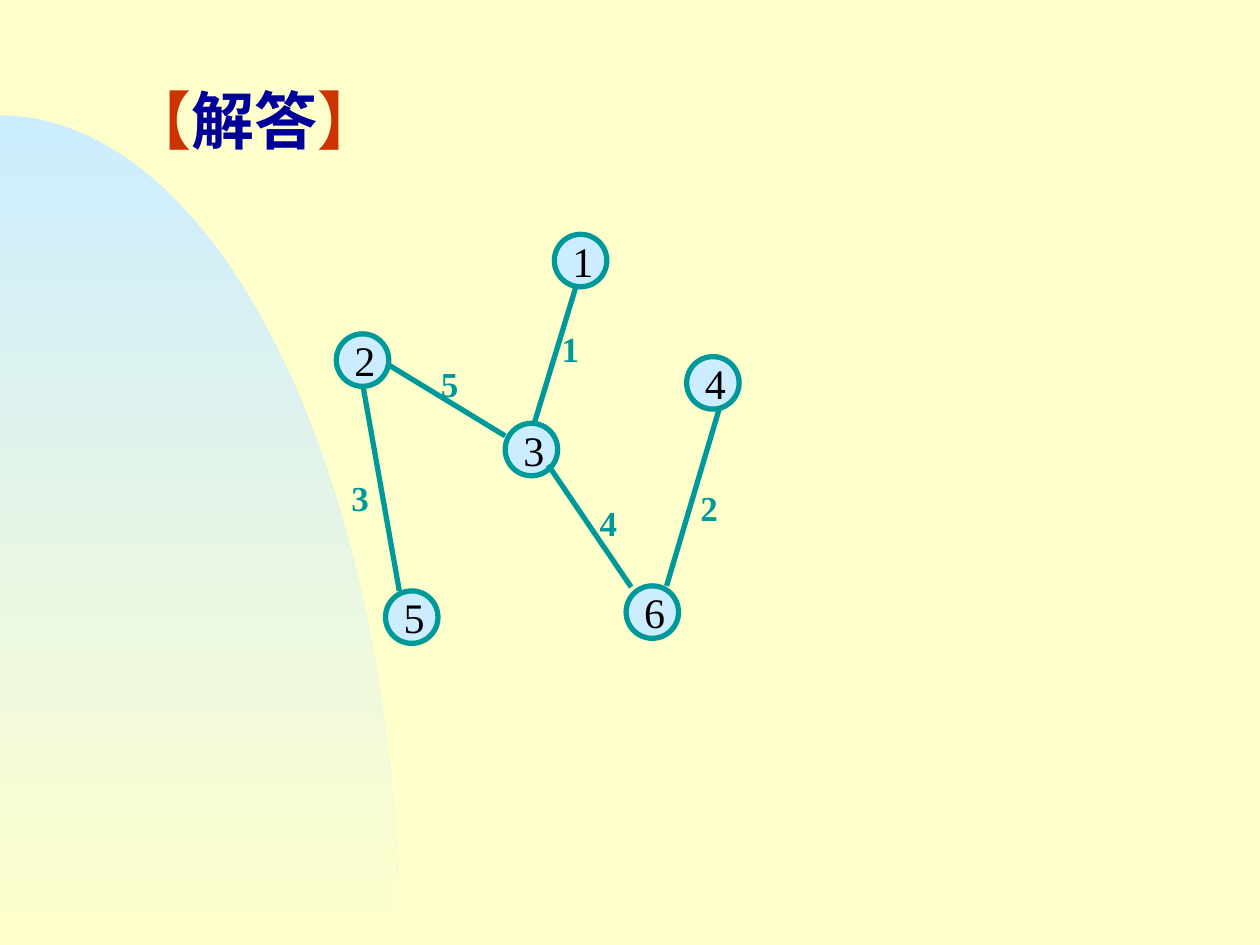
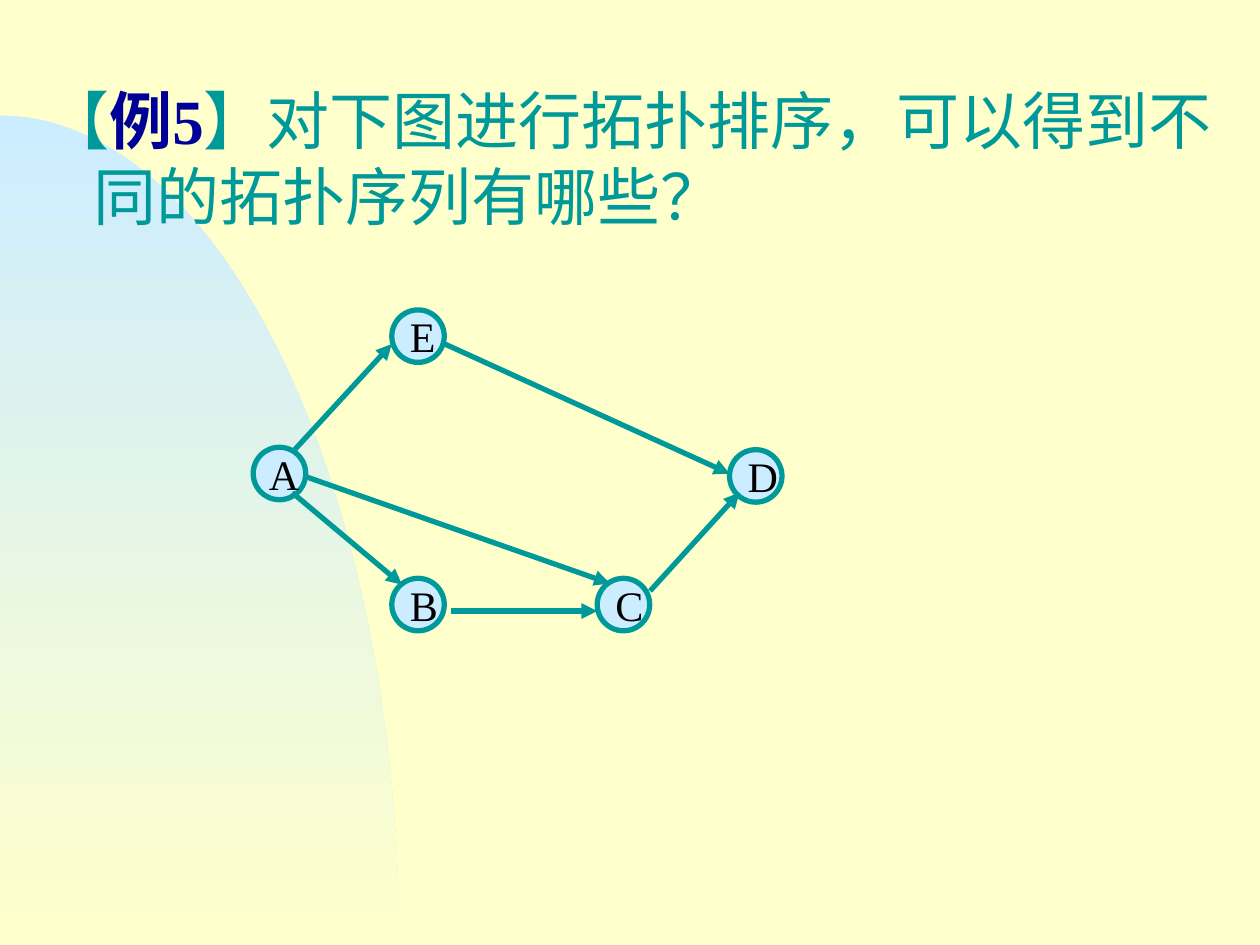
"""Build two graph slides: a spanning tree and a topological sort question."""
from dataclasses import dataclass
from math import cos, pi, sin

from lxml import etree
from pptx import Presentation
from pptx import util as u
from pptx.dml.color import RGBColor
from pptx.enum import shapes, text
from pptx.oxml.ns import qn


@dataclass(frozen=True)
class Theme:
    paper: str = "FFFFCC"
    pale: str = "CCECFF"
    teal: str = "009999"
    navy: str = "000099"
    red: str = "CC3300"
    ink: str = "010000"
    serif: str = "Times New Roman"
    sans: str = "Arial"
    head: int = 36
    node: int = 24
    label: int = 20
    line: int = 3
    disc: int = 30


LOOK = Theme()
WIDE, HIGH = 720, 540

TREE_HEAD = [("【", LOOK.red, True, LOOK.serif),
             ("解答", LOOK.navy, True, LOOK.serif),
             ("】", LOOK.red, True, LOOK.serif)]
TREE_NODES = {"2": (192.2, 190.8), "3": (288.7, 241.9), "1": (316.8, 133.9),
              "5": (220.3, 337.7), "4": (392.4, 203.8), "6": (357.8, 334.8)}
TREE_EDGES = [((207.4, 220.3), (228.2, 337.7)), ((411.1, 233.3), (380.9, 334.8)),
              ((305.3, 241.9), (329, 164.2)), ((222.5, 208.8), (288.7, 249.1)),
              ((313.2, 265.7), (360.7, 335.5))]
COSTS = {"5": (244.8, 203.8), "1": (313.9, 183.6), "2": (393.1, 274.3),
         "4": (335.5, 283), "3": (193.7, 268.6)}

SORT_HEAD = [("【", LOOK.teal, False, LOOK.sans),
             ("例5", LOOK.navy, True, LOOK.serif),
             ("】对下图进行拓扑排序，可以得到不同的拓扑序列有哪些？",
              LOOK.teal, False, LOOK.serif)]
SORT_NODES = {"B": (223.9, 330.5), "E": (223.9, 177.1), "A": (144.7, 255.6),
              "C": (341.3, 330.5), "D": (416.9, 257)}
SORT_EDGES = [((167, 281.5), (229.7, 334.1)), ((257.8, 349.2), (341.3, 349.2)),
              ((371.5, 337.7), (422.6, 281.5)), ((167, 258.5), (223.9, 196.6)),
              ((174.2, 272.2), (348.5, 333.4)), ((254.2, 196.6), (416.9, 270.7))]


def tint(code):
    return RGBColor.from_string(code)


def style(run, size, color, bold=False, face=LOOK.serif):
    font = run.font
    font.size, font.bold, font.name = u.Pt(size), bold, face
    font.color.rgb = tint(color)


def add_curve(slide, wide=228, high=474, steps=90):
    arc = [(u.Pt(wide * sin(pi / 2 * i / steps)),
            u.Pt(HIGH - high * cos(pi / 2 * i / steps)))
           for i in range(steps + 1)]
    pen = slide.shapes.build_freeform(*arc[0])
    pen.add_line_segments(arc[1:] + [(0, u.Pt(HIGH))])
    curve = pen.convert_to_shape()
    curve.shadow.inherit = False
    curve.line.fill.background()
    curve.fill.gradient()
    curve.fill.gradient_angle = 270
    for stop, place, code in zip(curve.fill.gradient_stops, (0, 1),
                                 (LOOK.pale, LOOK.paper)):
        stop.position, stop.color.rgb = place, tint(code)


def add_box(slide, *area):
    box = slide.shapes.add_textbox(*map(u.Pt, area))
    box.text_frame.word_wrap = True
    return box.text_frame


def add_head(slide, parts, left, wide, high):
    para = add_box(slide, left, 43.2, wide, high).paragraphs[0]
    para.space_before, para.line_spacing = u.Pt(9), 1.0
    props = para._p.get_or_add_pPr()
    props.set("marL", str(u.Pt(27)))
    props.set("indent", str(u.Pt(-27)))
    for words, color, bold, face in parts:
        run = para.add_run()
        run.text = words
        style(run, LOOK.head, color, bold, face)


def add_node(slide, name, left, top):
    disc = slide.shapes.add_shape(
        shapes.MSO_SHAPE.OVAL, *map(u.Pt, (left, top, LOOK.disc, LOOK.disc)))
    disc.shadow.inherit = False
    disc.fill.solid()
    disc.fill.fore_color.rgb = tint(LOOK.pale)
    disc.line.color.rgb = tint(LOOK.teal)
    disc.line.width = u.Pt(LOOK.line)
    frame = disc.text_frame
    frame.margin_left = frame.margin_right = 0
    frame.margin_top = frame.margin_bottom = 0
    frame.word_wrap = False
    frame.vertical_anchor = text.MSO_ANCHOR.MIDDLE
    frame.text = f" {name}"
    para = frame.paragraphs[0]
    para.alignment = text.PP_ALIGN.LEFT
    style(para.runs[0], LOOK.node, LOOK.ink)


def add_edge(slide, start, end, arrow):
    edge = slide.shapes.add_connector(
        shapes.MSO_CONNECTOR.STRAIGHT, *map(u.Pt, start + end))
    edge.line.color.rgb = tint(LOOK.teal)
    edge.line.width = u.Pt(LOOK.line)
    props = edge._element.spPr
    if arrow:
        etree.SubElement(props.find(qn("a:ln")), qn("a:tailEnd"), type="triangle")
    etree.SubElement(props, qn("a:effectLst"))


def add_cost(slide, cost, left, top):
    frame = add_box(slide, left, top, 27.4, 31.7)
    frame.text = cost
    style(frame.paragraphs[0].runs[0], LOOK.label, LOOK.teal, True)


def add_graph(slide, nodes, edges, arrow=False):
    for name, spot in nodes.items():
        add_node(slide, name, *spot)
    for start, end in edges:
        add_edge(slide, start, end, arrow)


def add_page(deck):
    slide = deck.slides.add_slide(deck.slide_layouts[6])
    add_curve(slide)
    return slide


def main():
    deck = Presentation()
    deck.slide_width, deck.slide_height = u.Pt(WIDE), u.Pt(HIGH)
    back = deck.slide_master.background.fill
    back.solid()
    back.fore_color.rgb = tint(LOOK.paper)

    tree = add_page(deck)
    add_head(tree, TREE_HEAD, 66.2, 612, 56.9)
    add_graph(tree, TREE_NODES, TREE_EDGES)
    for cost, spot in COSTS.items():
        add_cost(tree, cost, *spot)

    sort = add_page(deck)
    add_head(sort, SORT_HEAD, 19.4, 680.4, 96.5)
    add_graph(sort, SORT_NODES, SORT_EDGES, arrow=True)

    deck.save("out.pptx")


if __name__ == "__main__":
    main()
